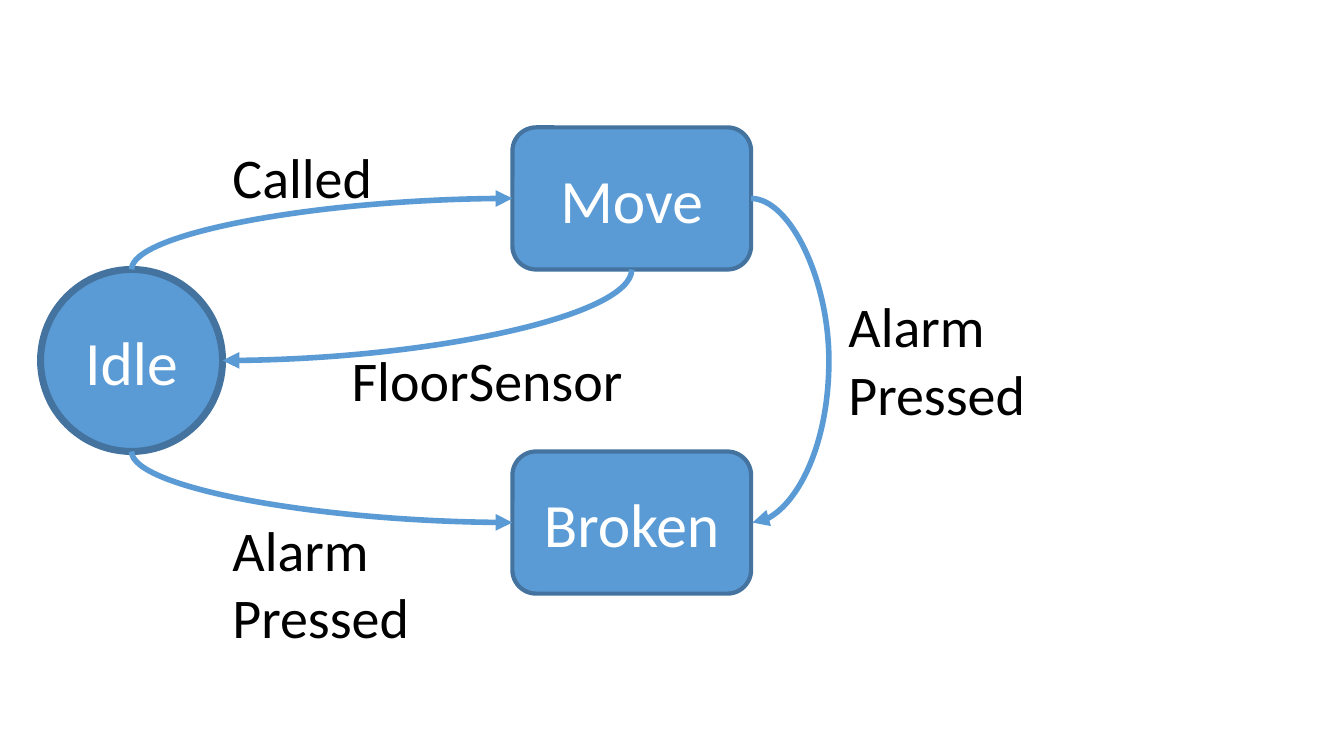
from pptx import Presentation
from pptx.dml.color import RGBColor
from pptx.enum import shapes, text
from pptx.oxml import parse_xml
from pptx.oxml import ns
from pptx.util import Pt

BLUE, EDGE, WHITE, BLACK = "5B9BD5", "43739E", "FFFFFF", "000000"


def color(hex_code):
    return RGBColor.from_string(hex_code)


def write(box, words, size, hex_code, align):
    box.text_frame.text = words
    for para in box.text_frame.paragraphs:
        para.alignment = align
        para.font.name = "Calibri"
        para.font.size = Pt(size)
        para.font.color.rgb = color(hex_code)


def add_state(page, kind, name, left, top, width, height, line_width):
    state = page.shapes.add_shape(kind, Pt(left), Pt(top), Pt(width), Pt(height))
    state.shadow.inherit = False
    state.fill.solid()
    state.fill.fore_color.rgb = color(BLUE)
    state.line.color.rgb = color(EDGE)
    state.line.width = Pt(line_width)
    state.text_frame.vertical_anchor = text.MSO_ANCHOR.MIDDLE
    write(state, name, 44, WHITE, text.PP_ALIGN.CENTER)


def add_label(page, words, left, top, width, height):
    label = page.shapes.add_textbox(Pt(left), Pt(top), Pt(width), Pt(height))
    label.text_frame.word_wrap = True
    label.text_frame.auto_size = text.MSO_AUTO_SIZE.SHAPE_TO_FIT_TEXT
    write(label, words, 40, BLACK, text.PP_ALIGN.LEFT)


def add_curve(page, x1, y1, x2, y2):
    curve = page.shapes.add_connector(
        shapes.MSO_CONNECTOR.CURVE, Pt(x1), Pt(y1), Pt(x2), Pt(y2))
    curve.line.color.rgb = color(BLUE)
    curve.line.width = Pt(4)
    namespace = ns.nsdecls("a")
    curve.line._get_or_add_ln().append(
        parse_xml(f'<a:tailEnd {namespace} type="triangle"/>'))
    properties = curve._element.spPr
    properties.append(parse_xml(f"<a:effectLst {namespace}/>"))
    return properties


def add_quarter_arrow(page, x1, y1, x2, y2):
    """Arrow that leaves vertically and arrives horizontally: a quarter turn."""
    middle_x, middle_y = (x1 + x2) / 2, (y1 + y2) / 2
    half_x, half_y = (x2 - x1) / 2, (y2 - y1) / 2
    properties = add_curve(page, middle_x - half_y, middle_y + half_x,
                           middle_x + half_y, middle_y - half_x)
    properties.find(ns.qn("a:xfrm")).set("rot", "5400000")
    properties.find(ns.qn("a:prstGeom")).set("prst", "curvedConnector2")


def add_bulging_arrow(page, x, y1, y2, bulge):
    """Arrow down a side; its box is 1 pt wide, so the bulge is its multiple."""
    properties = add_curve(page, x, y1, x + 1, y2)
    guides = properties.find(ns.qn("a:prstGeom")).get_or_add_avLst()
    guides.append(parse_xml(
        f'<a:gd {ns.nsdecls("a")} name="adj1" fmla="val {bulge * 100000}"/>'))


def main():
    deck = Presentation()
    deck.slide_width, deck.slide_height = Pt(960), Pt(540)
    page = deck.slides.add_slide(deck.slide_layouts[6])

    idle_left, idle_top, idle_size = 29, 192.5, 130
    box_left, box_width, box_height = 366, 170.5, 101.5
    move_top, broken_top = 91, 322.5
    idle_middle = idle_left + idle_size / 2
    idle_bottom = idle_top + idle_size
    move_middle = move_top + box_height / 2
    broken_middle = broken_top + box_height / 2

    add_state(page, shapes.MSO_SHAPE.OVAL, "Idle",
              idle_left, idle_top, idle_size, idle_size, 5)
    for name, top in (("Move", move_top), ("Broken", broken_top)):
        add_state(page, shapes.MSO_SHAPE.ROUNDED_RECTANGLE, name,
                  box_left, top, box_width, box_height, 3)

    add_quarter_arrow(page, idle_middle, idle_top, box_left, move_middle)
    add_quarter_arrow(page, idle_middle, idle_bottom, box_left, broken_middle)
    add_quarter_arrow(page, box_left + box_width / 2, move_top + box_height,
                      idle_left + idle_size, idle_top + idle_size / 2)
    add_bulging_arrow(page, box_left + box_width, move_middle, broken_middle, 56)

    add_label(page, "Called", 159, 98.5, 122.5, 55.5)
    add_label(page, "FloorSensor", 244, 243.5, 209, 55.5)
    for left, top in ((159, 364.5), (599, 205)):
        add_label(page, "Alarm\nPressed", left, top, 168.5, 104.5)

    deck.save("out.pptx")


if __name__ == "__main__":
    main()
